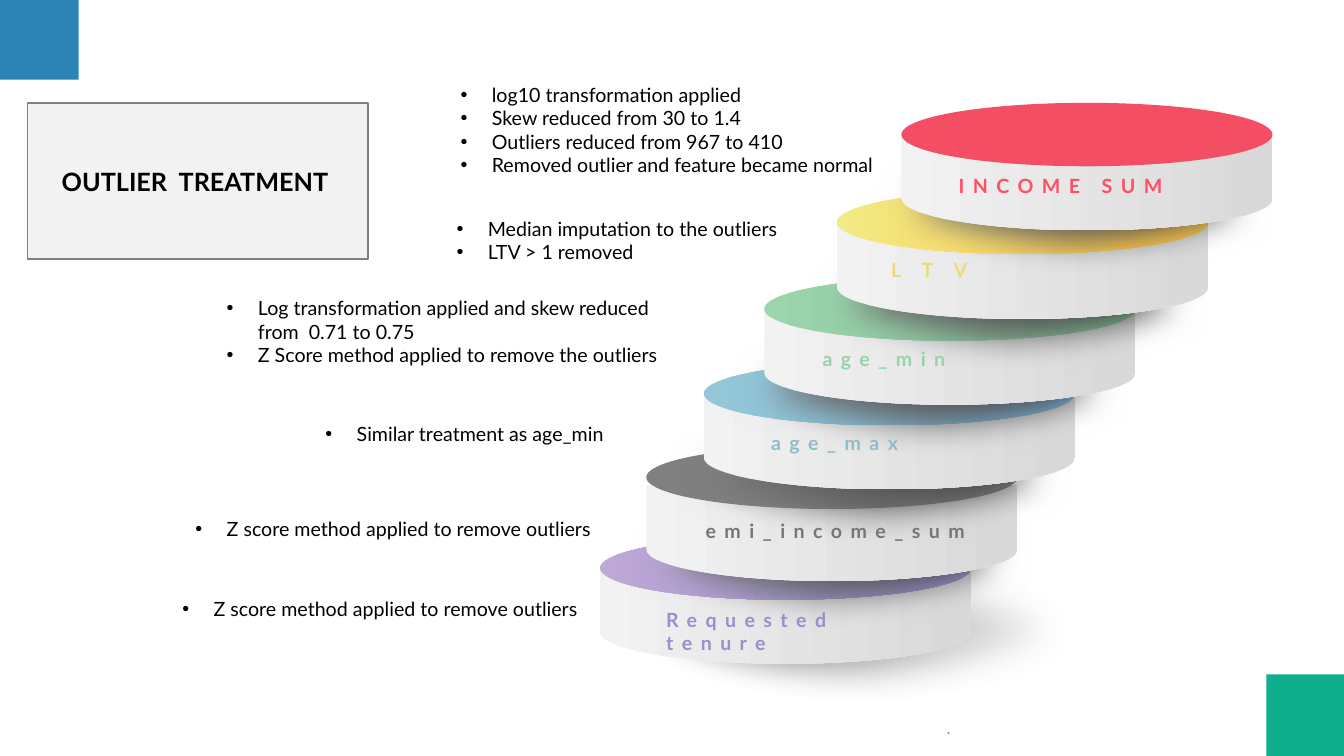
from lxml import etree
from pptx import Presentation
from pptx.dml.color import RGBColor
from pptx.enum import shapes, text
from pptx.oxml import ns
from pptx.util import Inches, Pt

COLOURS = {
    "blue": "2C84B4", "green": "0EAF8D", "panel": "F2F2F2", "grey": "808080",
    "side_end": "D9D9D9", "shadow_end": "404040", "black": "000000", "dot": "8C8C8C",
    "income": "F34E63", "income_text": "FF4F65",
    "ltv": "F2EA84", "ltv_end": "FFC748", "ltv_text": "EBDB78",
    "age_min": "9CD4AD", "age_min_end": "82C798", "age_min_text": "98D1AA",
    "age_max": "94C8D8", "age_max_end": "7AB5DB", "age_max_text": "8EBCCC",
    "emi_text": "767676",
    "tenure": "BFA8D6", "tenure_end": "9690CB",
}
FONT = "Lato"
DISC_WIDTH, LID_HEIGHT, SIDE_HEIGHT = 3.68, 0.63, 0.64
SOFT_EDGE = 0.35
ARC = 0.55  # control point distance of a quarter ellipse, as a share of its radius

# left, lid top, side top, lid start and end colour, shadow box; bottom disc first
DISCS = [
    (5.95, 5.32, 5.63, "tenure", "tenure_end", (6.09, 5.47, 4.96, 1.54)),
    (6.41, 4.42, 4.81, "grey", "grey", (6, 4.83, 4.5, 1.42)),
    (6.98, 3.59, 3.9, "age_max", "age_max_end", (6.4, 3.99, 4.5, 1.42)),
    (7.58, 2.75, 3.06, "age_min", "age_min_end", (6.98, 3.13, 4.5, 1.42)),
    (8.3, 1.89, 2.21, "ltv", "ltv_end", (7.75, 2.28, 4.5, 1.42)),
    (8.94, 1.02, 1.33, "income", "income", (8.41, 1.32, 4.5, 1.42)),
]
LABELS = [
    ("emi_income_sum", "emi_text", (6.9, 5.1, 3.13, 0.34)),
    ("Requested tenure", "tenure_end", (6.51, 5.98, 2.13, 0.57)),
    ("age_max", "age_max_text", (7.55, 4.23, 2.13, 0.34)),
    ("age_min", "age_min_text", (8.06, 3.39, 2.13, 0.34)),
    ("L T V", "ltv_text", (8.74, 2.51, 2.34, 0.34)),
    ("INCOME SUM", "income_text", (9.41, 1.68, 2.92, 0.34)),
]
NOTES = [
    ((1.84, 5.08, 4.29, 0.34), ["Z score method applied to remove outliers"]),
    ((3.13, 4.14, 4.47, 0.34), ["Similar treatment as age_min"]),
    ((1.71, 5.87, 4.26, 0.34), ["Z score method applied to remove outliers"]),
    ((2.15, 2.89, 4.62, 0.82), ["Log transformation applied and skew reduced from  0.71 to 0.75",
                                "Z Score method applied to remove the outliers"]),
    ((4.43, 2.1, 4.47, 0.57), ["Median imputation to the outliers", "LTV > 1 removed"]),
    ((4.47, 0.77, 5.03, 1.04), ["log10 transformation applied",
                                "Skew reduced from 30 to 1.4",
                                "Outliers reduced from 967 to 410",
                                "Removed outlier and feature became normal"]),
]


def colour(name):
    return RGBColor.from_string(COLOURS[name])


def inches(lengths):
    return [Inches(length) for length in lengths]


def paint(shape, name):
    shape.shadow.inherit = False
    shape.fill.solid()
    shape.fill.fore_color.rgb = colour(name)
    shape.line.fill.background()


def paint_gradient(shape, *stops):
    """Fill left to right with two (position, colour name) stops."""
    shape.shadow.inherit = False
    shape.line.fill.background()
    shape.fill.gradient()
    shape.fill.gradient_angle = 0
    for stop, (position, name) in zip(shape.fill.gradient_stops, stops):
        stop.position = position
        stop.color.rgb = colour(name)


def add_shape(slide, kind, box):
    return slide.shapes.add_shape(kind, *inches(box))


def add_rectangle(slide, box, name):
    rectangle = add_shape(slide, shapes.MSO_SHAPE.RECTANGLE, box)
    paint(rectangle, name)
    return rectangle


def add_shadow(slide, box, fades):
    """Draw a soft-edged ellipse that, if fades, turns clear on its right."""
    shadow = add_shape(slide, shapes.MSO_SHAPE.OVAL, box)
    paint_gradient(shadow, (0, "grey"), (0.83, "shadow_end"))
    if fades:
        shadow._element.spPr.xfrm.set("flipH", "1")
        stops = shadow._element.spPr.iter(ns.qn("a:srgbClr"))
        for stop, alpha in zip(stops, ("0", "86000")):
            etree.SubElement(stop, ns.qn("a:alpha"), val=alpha)
    effects = shadow._element.spPr.find(ns.qn("a:effectLst"))
    etree.SubElement(effects, ns.qn("a:softEdge"), rad=str(Inches(SOFT_EDGE)))


def bend(segment, controls):
    """Turn a straight segment of an outline into a curve."""
    segment.tag = ns.qn("a:cubicBezTo")
    for index, (x, y) in enumerate(controls):
        point = etree.Element(ns.qn("a:pt"), x=str(Inches(x)), y=str(Inches(y)))
        segment.insert(index, point)


def add_side(slide, left, top):
    """Draw the wall of a disc: straight sides and a half-ellipse below."""
    radius, depth = DISC_WIDTH / 2, LID_HEIGHT / 2
    bottom = SIDE_HEIGHT + depth
    corners = [(DISC_WIDTH, 0), (DISC_WIDTH, SIDE_HEIGHT), (radius, bottom), (0, SIDE_HEIGHT)]
    builder = slide.shapes.build_freeform(Inches(left), Inches(top))
    builder.add_line_segments([inches((left + x, top + y)) for x, y in corners])
    side = builder.convert_to_shape()
    right_arc, left_arc = list(side._element.spPr.iter(ns.qn("a:lnTo")))[2:4]
    low, reach = SIDE_HEIGHT + ARC * depth, ARC * radius
    bend(right_arc, [(DISC_WIDTH, low), (radius + reach, bottom)])
    bend(left_arc, [(radius - reach, bottom), (0, low)])
    paint_gradient(side, (0, "panel"), (0.97, "side_end"))


def add_disc(slide, left, lid_top, side_top, start, end):
    add_side(slide, left, side_top)
    lid = add_shape(slide, shapes.MSO_SHAPE.OVAL, (left, lid_top, DISC_WIDTH, LID_HEIGHT))
    if start == end:
        paint(lid, start)
    else:
        paint_gradient(lid, (0, start), (0.83, end))


def add_text_box(slide, box):
    frame = slide.shapes.add_textbox(*inches(box)).text_frame
    frame.word_wrap = True
    frame.auto_size = text.MSO_AUTO_SIZE.SHAPE_TO_FIT_TEXT
    return frame


def add_run(paragraph, words, size, name, bold=False):
    run = paragraph.add_run()
    run.text = words
    run.font.name = FONT
    run.font.size = Pt(size)
    run.font.bold = bold
    run.font.color.rgb = colour(name)
    return run


def add_label(slide, words, name, box):
    """Add a bold label with wide letter spacing."""
    frame = add_text_box(slide, box)
    run = add_run(frame.paragraphs[0], words, 14, name, bold=True)
    run.font._element.set("spc", "600")


def add_bullets(slide, box, lines):
    frame = add_text_box(slide, box)
    for index, line in enumerate(lines):
        paragraph = frame.add_paragraph() if index else frame.paragraphs[0]
        properties = paragraph._p.get_or_add_pPr()
        properties.set("marL", str(Inches(0.31)))
        properties.set("indent", str(-Inches(0.31)))
        etree.SubElement(properties, ns.qn("a:buFont"), typeface="Arial")
        etree.SubElement(properties, ns.qn("a:buChar"), char="•")
        add_run(paragraph, line, 14, "black")


def add_centred(frame, words, size, name, bold=False):
    frame.word_wrap = True
    frame.auto_size = text.MSO_AUTO_SIZE.NONE
    frame.vertical_anchor = text.MSO_ANCHOR.MIDDLE
    paragraph = frame.paragraphs[0]
    paragraph.alignment = text.PP_ALIGN.CENTER
    add_run(paragraph, words, size, name, bold)


def main():
    presentation = Presentation()
    presentation.slide_width, presentation.slide_height = Inches(13.33), Inches(7.5)
    slide = presentation.slides.add_slide(presentation.slide_layouts[6])

    add_rectangle(slide, (0, 0, 0.78, 0.79), "blue")
    add_rectangle(slide, (12.56, 6.69, 0.78, 0.81), "green")
    for index, (left, lid_top, side_top, start, end, shadow_box) in enumerate(DISCS):
        add_shadow(slide, shadow_box, fades=index == 0)
        add_disc(slide, left, lid_top, side_top, start, end)
    for label in LABELS:
        add_label(slide, *label)
    for box, lines in NOTES:
        add_bullets(slide, box, lines)
    add_centred(add_text_box(slide, (6.56, 7.02, 5.7, 0.4)), ".", 12, "dot")

    title = add_rectangle(slide, (0.27, 1.02, 3.38, 1.55), "panel")
    title.line.color.rgb = colour("grey")
    title.line.width = Pt(1)
    add_centred(title.text_frame, "OUTLIER  TREATMENT ", 18, "black", bold=True)

    presentation.save("out.pptx")


if __name__ == "__main__":
    main()
